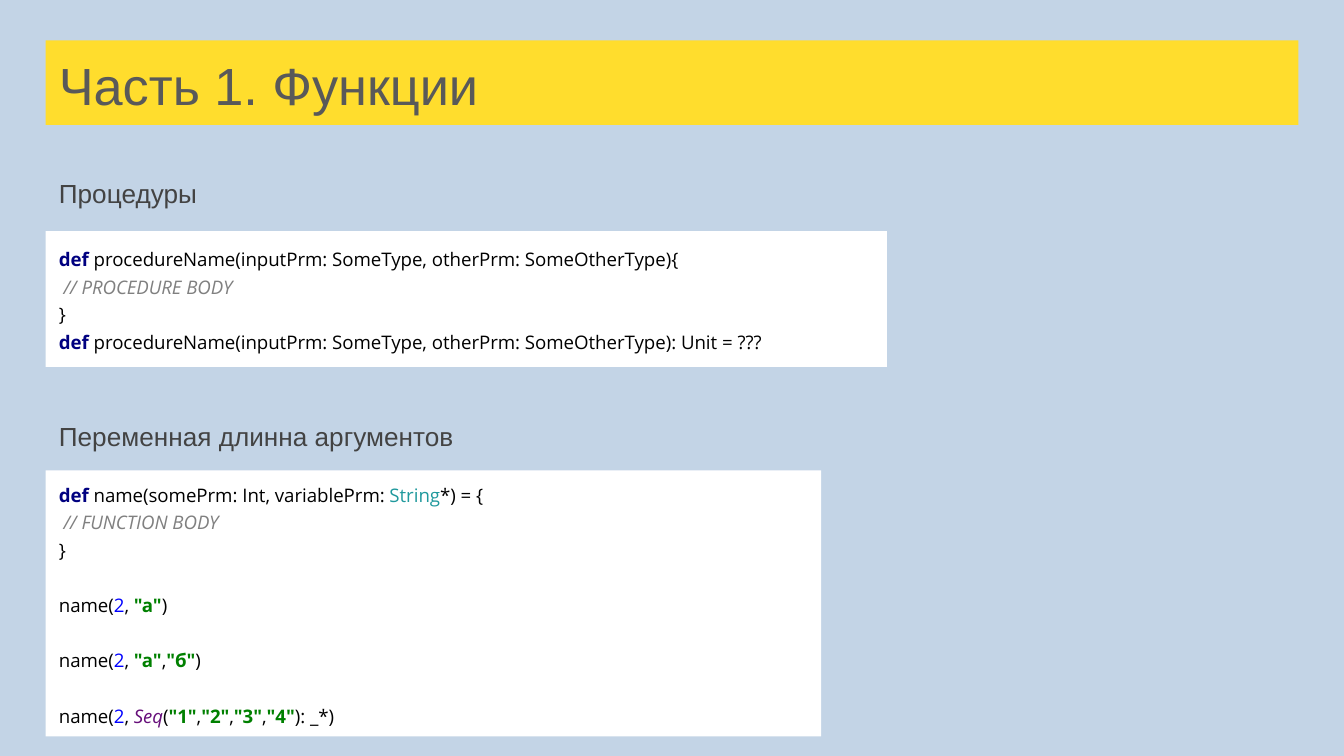
import pptx
import pptx.dml.color
import pptx.enum.shapes
import pptx.enum.text
import pptx.util

Inches = pptx.util.Inches
Pt = pptx.util.Pt
ANCHOR = pptx.enum.text.MSO_ANCHOR

MARGIN = 0.34
BLANK_LINE = 14.8

# Syntax colouring: colour, bold, italic
SYNTAX = {
    "plain": ("000000", False, False),
    "keyword": ("000080", True, False),
    "comment": ("808080", False, True),
    "type": ("20999D", False, False),
    "number": ("0000FF", False, False),
    "string": ("008000", True, False),
    "call": ("660E7A", False, True),
}


def rgb(value):
    return pptx.dml.color.RGBColor.from_string(value)


def prepare_frame(shape, anchor):
    frame = shape.text_frame
    frame.word_wrap = True
    frame.vertical_anchor = anchor
    frame.margin_left = frame.margin_right = Inches(0.1)
    frame.margin_top = frame.margin_bottom = Inches(0.1)
    return frame


def add_run(paragraph, text, font, size, color, bold=False, italic=False):
    run = paragraph.add_run()
    run.text = text
    run.font.name = font
    run.font.size = Pt(size)
    run.font.bold = bold
    run.font.italic = italic
    run.font.color.rgb = rgb(color)


def add_panel(slide, box, color, anchor):
    panel = slide.shapes.add_shape(
        pptx.enum.shapes.MSO_SHAPE.RECTANGLE, *map(Inches, box))
    panel.shadow.inherit = False
    panel.fill.solid()
    panel.fill.fore_color.rgb = rgb(color)
    panel.line.fill.background()
    return prepare_frame(panel, anchor)


def add_title(slide, box, text):
    paragraph = add_panel(slide, box, "FFDD2D", ANCHOR.TOP).paragraphs[0]
    paragraph.alignment = pptx.enum.text.PP_ALIGN.LEFT
    add_run(paragraph, text, "Arial", 28, "595959")


def add_heading(slide, box, text):
    heading = slide.shapes.add_textbox(*map(Inches, box))
    paragraph = prepare_frame(heading, ANCHOR.TOP).paragraphs[0]
    add_run(paragraph, text, "Arial", 14, "434343")


def add_code(slide, box, lines):
    """Each line is (space before in points, list of (syntax, text))."""
    frame = add_panel(slide, box, "FFFFFF", ANCHOR.MIDDLE)
    for index, (gap, tokens) in enumerate(lines):
        paragraph = frame.add_paragraph() if index else frame.paragraphs[0]
        paragraph.alignment = pptx.enum.text.PP_ALIGN.LEFT
        paragraph.line_spacing = 1.15
        paragraph.space_before = Pt(gap)
        paragraph.space_after = Pt(1)
        for syntax, text in tokens:
            add_run(paragraph, text, "Open Sans", 10, *SYNTAX[syntax])


def strings(*values):
    """Quoted strings with commas between them."""
    tokens = []
    for value in values:
        if tokens:
            tokens.append(("plain", ","))
        tokens.append(("string", f'"{value}"'))
    return tokens


def definition(*signature):
    return 0, [("keyword", "def "), *signature]


def comment(text):
    return 0, [("plain", " "), ("comment", text)]


def call(*arguments):
    """A call of name, set off by the height of one line."""
    return BLANK_LINE, [("plain", "name("), ("number", "2"), ("plain", ", "),
                        *arguments]


def main():
    deck = pptx.Presentation()
    # Widescreen, 16:9
    deck.slide_width = Inches(10)
    deck.slide_height = deck.slide_width * 9 // 16
    slide = deck.slides.add_slide(deck.slide_layouts[6])
    slide.background.fill.solid()
    slide.background.fill.fore_color.rgb = rgb("C3D4E6")

    add_title(slide, (MARGIN, 0.3, 10 - 2 * MARGIN, 0.63), "Часть 1. Функции")

    # Procedures
    closing_brace = (0, [("plain", "}")])
    procedure = "procedureName(inputPrm: SomeType, otherPrm: SomeOtherType)"
    add_heading(slide, (MARGIN, 1.22, 4.07, 0.48), "Процедуры")
    add_code(slide, (MARGIN, 1.72, 6.26, 1.01), [
        definition(("plain", procedure + "{")),
        comment("// PROCEDURE BODY"),
        closing_brace,
        definition(("plain", procedure + ": Unit = ???")),
    ])

    # Variable number of arguments
    add_heading(slide, (MARGIN, 3.03, 4.07, 0.48),
                "Переменная длинна аргументов")
    add_code(slide, (MARGIN, 3.5, 5.77, 1.98), [
        definition(("plain", "name(somePrm: Int, variablePrm: "),
                   ("type", "String"), ("plain", "*) = {")),
        comment("// FUNCTION BODY"),
        closing_brace,
        call(*strings("a"), ("plain", ")")),
        call(*strings("a", "б"), ("plain", ")")),
        call(("call", "Seq"), ("plain", "("), *strings("1", "2", "3", "4"),
             ("plain", "): _*)")),
    ])

    deck.save("out.pptx")


if __name__ == "__main__":
    main()
